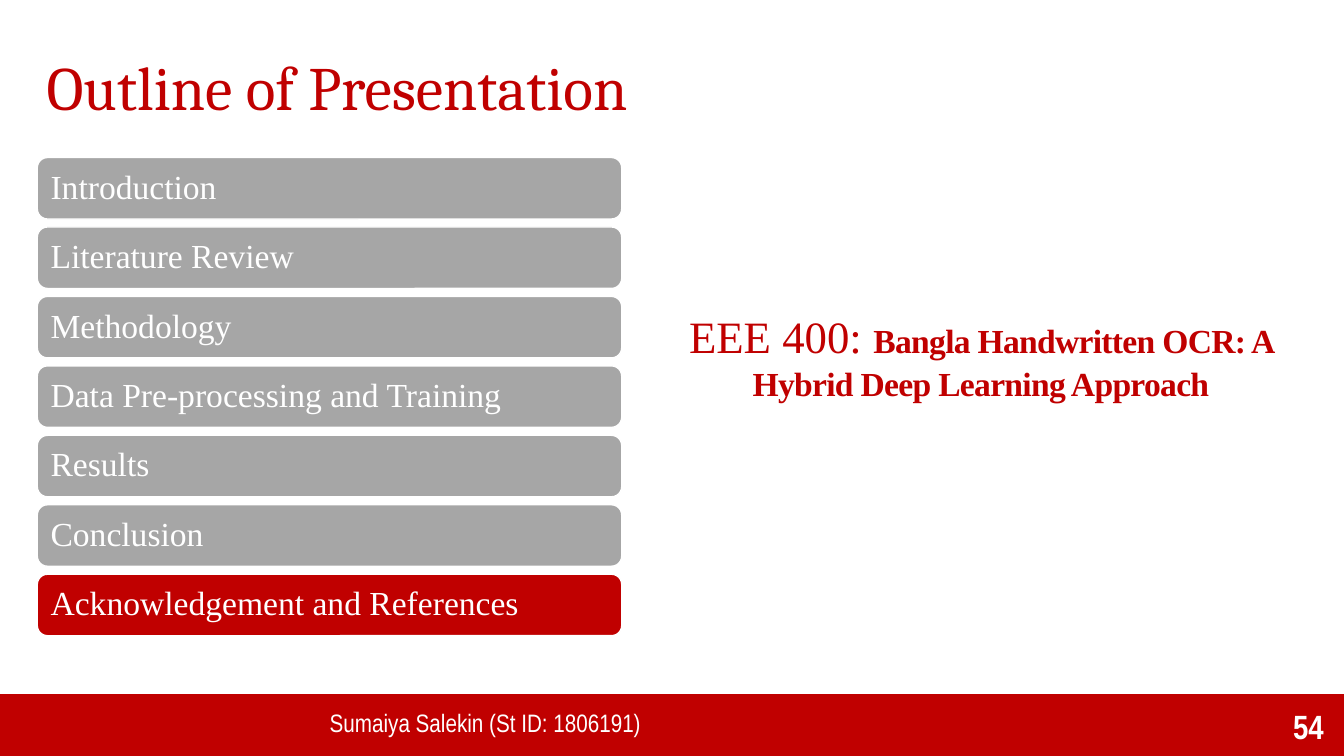
"""Build the outline slide with its closing section highlighted."""
import pptx
import pptx.dml.color
import pptx.enum.shapes
import pptx.enum.text
import pptx.util

Cm = pptx.util.Cm
Shape = pptx.enum.shapes.MSO_SHAPE
Anchor = pptx.enum.text.MSO_ANCHOR
Align = pptx.enum.text.PP_ALIGN
RED, GREY, WHITE = "C00000", "A6A6A6", "FFFFFF"


def paint(color_format, color):
    color_format.rgb = pptx.dml.color.RGBColor.from_string(color)


def format_span(span, font, size, color, bold=False):
    span.font.name = font
    span.font.size = pptx.util.Pt(size)
    span.font.bold = bold
    paint(span.font.color, color)


deck = pptx.Presentation()
deck.slide_width = Cm(33.87)
deck.slide_height = Cm(19.05)
page = deck.slides.add_slide(deck.slide_layouts.get_by_name("Title Only"))

band = page.shapes.add_shape(Shape.RECTANGLE, 0, Cm(17.49), deck.slide_width, Cm(1.56))
band.shadow.inherit = False
band.fill.solid()
paint(band.fill.fore_color, RED)
band.line.fill.background()

title = page.shapes.title
title.left, title.top, title.width, title.height = Cm(0.92), Cm(1.27), Cm(32.08), Cm(2.03)
title.text_frame.text = "Outline of Presentation"
title.text_frame.auto_size = pptx.enum.text.MSO_AUTO_SIZE.NONE
title.text_frame.vertical_anchor = Anchor.MIDDLE
para = title.text_frame.paragraphs[0]
para.alignment = Align.LEFT
para.line_spacing = 0.9
format_span(para.runs[0], "Cambria", 44, RED)

footers = [
    ("Sumaiya Salekin (St ID: 1806191)", (8.06, 17.7, 10.72, 1.24), 18, False, Align.LEFT, Anchor.TOP),
    ("54", (31.73, 17.76, 1.88, 1.17), 24, True, Align.RIGHT, Anchor.BOTTOM),
]
for text, place, size, bold, alignment, anchor in footers:
    box = page.shapes.add_textbox(*map(Cm, place))
    box.text_frame.word_wrap = True
    box.text_frame.vertical_anchor = anchor
    box.text_frame.text = text
    para = box.text_frame.paragraphs[0]
    para.alignment = alignment
    format_span(para.runs[0], "Arial Narrow", size, WHITE, bold)

sections = [
    "Introduction",
    "Literature Review",
    "Methodology",
    "Data Pre-processing and Training",
    "Results",
    "Conclusion",
    "Acknowledgement and References",
]
current_section = sections[-1]
for row, section in enumerate(sections):
    bar = page.shapes.add_shape(
        Shape.ROUNDED_RECTANGLE, Cm(0.94), Cm(3.97 + 1.75 * row), Cm(14.73), Cm(1.55)
    )
    bar.shadow.inherit = False
    bar.fill.solid()
    paint(bar.fill.fore_color, RED if section == current_section else GREY)
    paint(bar.line.color, WHITE)
    bar.line.width = pptx.util.Pt(1)
    frame = bar.text_frame
    frame.word_wrap = True
    frame.vertical_anchor = Anchor.MIDDLE
    frame.margin_left = frame.margin_right = Cm(0.26)
    frame.text = section
    para = frame.paragraphs[0]
    para.alignment = Align.LEFT
    para.line_spacing = 0.9
    format_span(para.runs[0], "Times New Roman", 24, WHITE)

box = page.shapes.add_textbox(Cm(16.95), Cm(7.66), Cm(15.54), Cm(3.73))
box.text_frame.word_wrap = True
para = box.text_frame.paragraphs[0]
para.alignment = Align.CENTER
course = para.add_run()
course.text = "EEE 400: "
format_span(course, "Times New Roman", 32, RED)
topic = para.add_run()
topic.text = "Bangla Handwritten OCR: A Hybrid Deep Learning Approach"
format_span(topic, "Times New Roman", 24, RED, True)
topic._r.get_or_add_rPr().set("spc", "-50")

deck.save("out.pptx")
